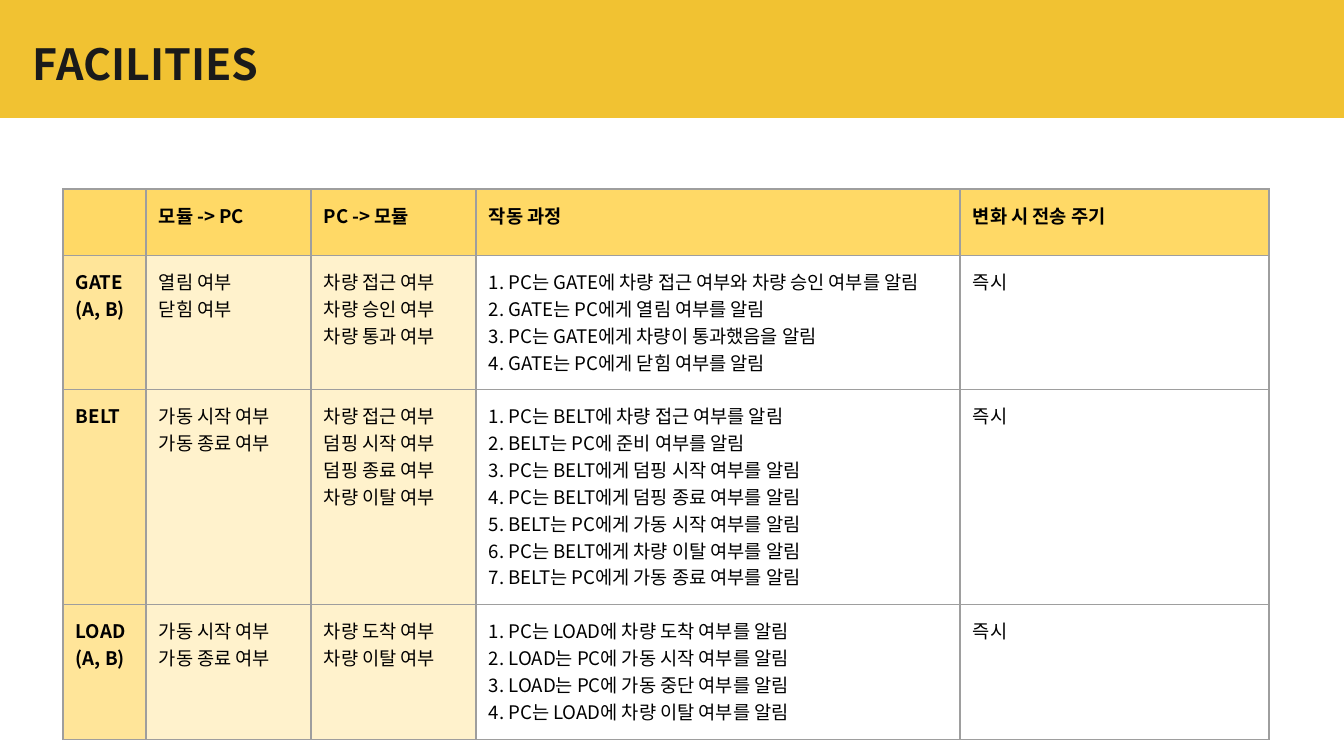
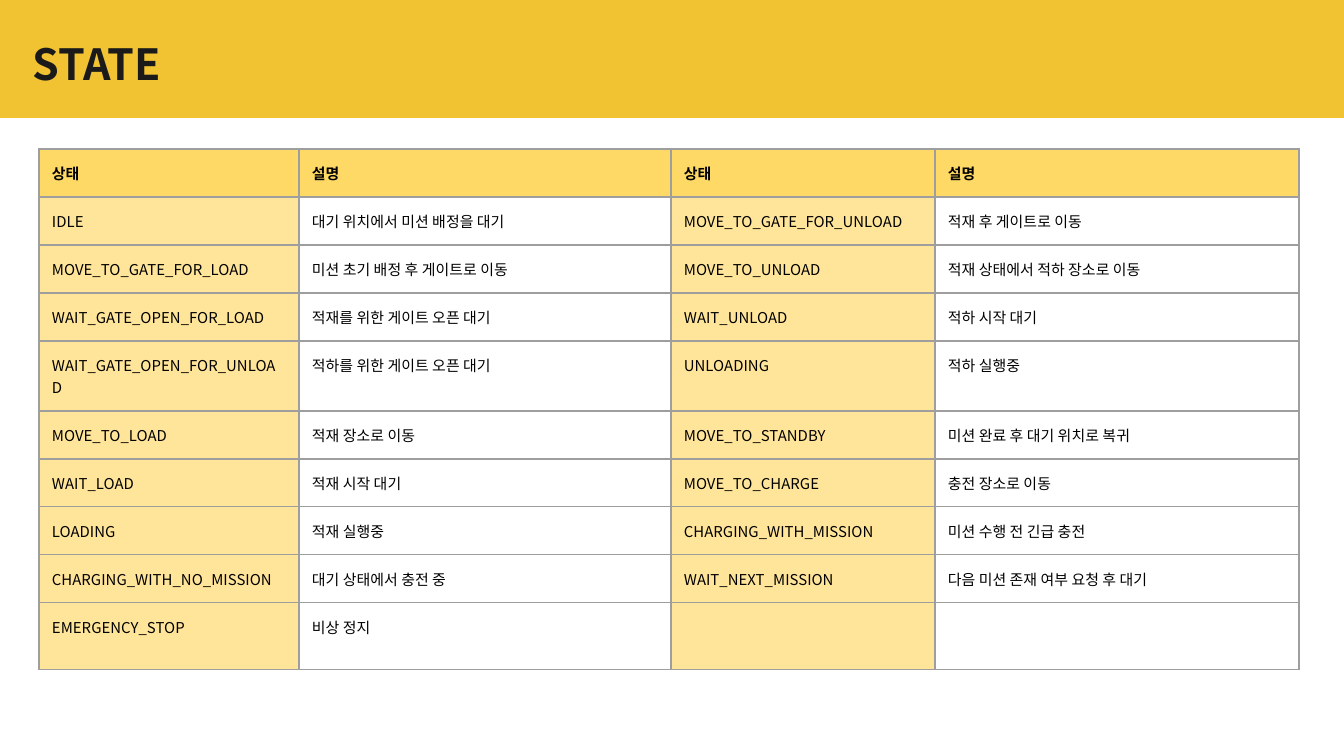
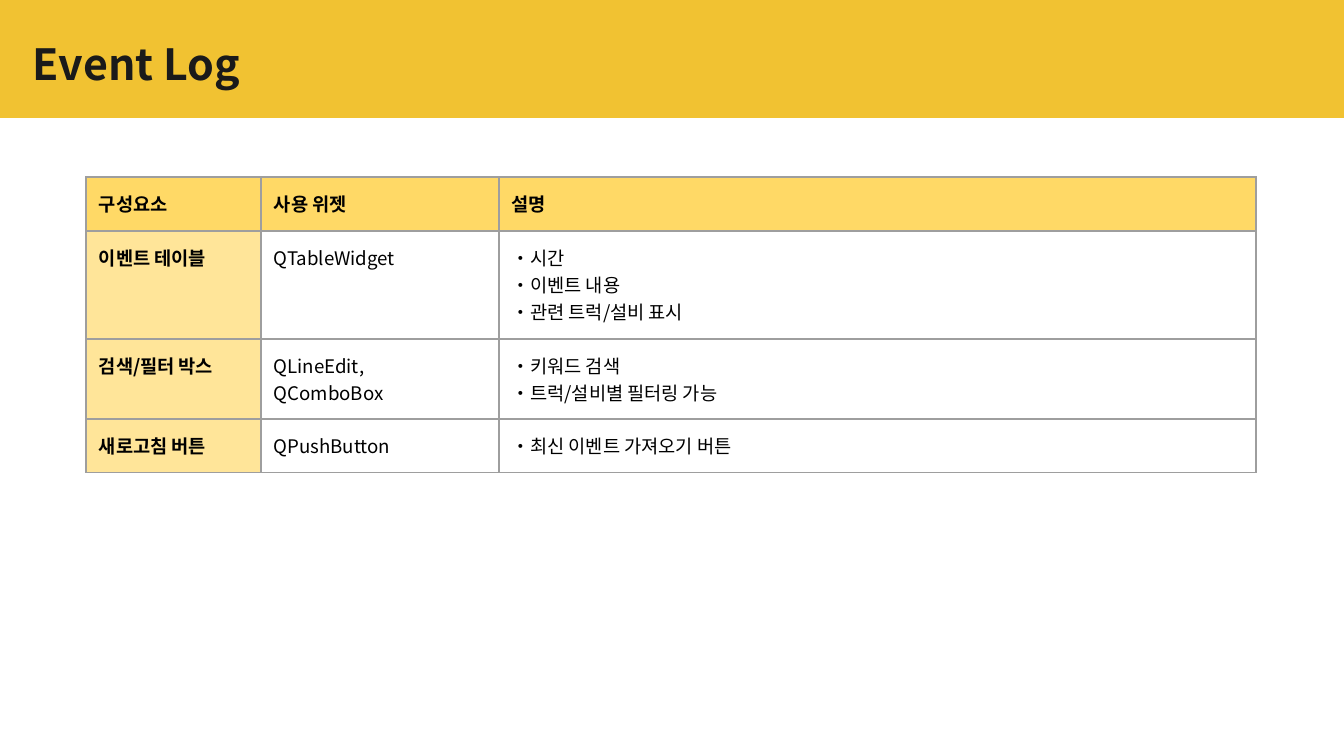
import dataclasses

import lxml.etree
import pptx
import pptx.dml.color
import pptx.enum.shapes
import pptx.enum.text
import pptx.oxml.ns
import pptx.util

EMU_PER_PX = 914400 / 134.4


def px(length):
    return pptx.util.Emu(round(length * EMU_PER_PX))


def rgb(value):
    return pptx.dml.color.RGBColor.from_string(value)


@dataclasses.dataclass(frozen=True)
class Theme:
    font: str = "Noto Sans CJK KR"
    band: str = "F1C232"
    title: str = "1A1A1A"
    text: str = "000000"
    header: str = "FFD966"
    key: str = "FFE599"
    pale: str = "FFF2CC"
    border: str = "9E9E9E"
    border_width: float = 0.75
    title_size: int = 23
    body_size: int = 10
    small_size: int = 8
    inset: int = 13


@dataclasses.dataclass(frozen=True)
class Column:
    width: int
    fill: str | None = None
    bold: bool = False


class Deck:
    def __init__(self, theme):
        self.theme = theme
        self.presentation = pptx.Presentation()
        self.presentation.slide_width = px(1344)
        self.presentation.slide_height = px(756)
        self.slide = None

    def add_slide(self, title):
        self.slide = self.presentation.slides.add_slide(self.presentation.slide_layouts[6])
        self.add_band()
        self.add_title(title)

    def add_band(self):
        shape = self.slide.shapes.add_shape(
            pptx.enum.shapes.MSO_SHAPE.RECTANGLE, px(0), px(0), px(1344), px(118))
        shape.shadow.inherit = False
        shape.fill.solid()
        shape.fill.fore_color.rgb = rgb(self.theme.band)
        shape.line.fill.background()

    def add_title(self, text):
        shape = self.slide.shapes.add_textbox(px(20), px(24), px(1130), px(79))
        frame = shape.text_frame
        frame.word_wrap = True
        frame.vertical_anchor = pptx.enum.text.MSO_ANCHOR.MIDDLE
        self.set_insets(frame)
        self.add_run(frame.paragraphs[0], text, self.theme.title_size, self.theme.title, True)

    def set_insets(self, target):
        for side in ("left", "right", "top", "bottom"):
            setattr(target, f"margin_{side}", px(self.theme.inset))

    def add_run(self, paragraph, text, size, color, bold):
        run = paragraph.add_run()
        run.text = text
        run.font.size = pptx.util.Pt(size)
        run.font.bold = bold
        run.font.color.rgb = rgb(color)
        run.font.name = self.theme.font
        east_asian = lxml.etree.SubElement(run.font._element, pptx.oxml.ns.qn("a:ea"))
        east_asian.set("typeface", self.theme.font)

    def add_table(self, left, top, columns, heights, rows, size):
        """The first row is the header; each line of a cell is a paragraph."""
        frame = self.slide.shapes.add_table(
            len(rows), len(columns), px(left), px(top),
            px(sum(column.width for column in columns)), px(sum(heights)))
        table = frame.table
        table.first_row = table.horz_banding = False
        for index, column in enumerate(columns):
            table.columns[index].width = px(column.width)
        for row_index, (height, texts) in enumerate(zip(heights, rows)):
            table.rows[row_index].height = px(height)
            for column_index, (column, text) in enumerate(zip(columns, texts)):
                header = row_index == 0
                self.fill_cell(table.cell(row_index, column_index), text, size,
                               self.theme.header if header else column.fill,
                               header or column.bold)

    def fill_cell(self, cell, text, size, fill, bold):
        self.set_insets(cell)
        self.add_borders(cell)
        if fill:
            cell.fill.solid()
            cell.fill.fore_color.rgb = rgb(fill)
        else:
            cell.fill.background()
        for index, line in enumerate(text.splitlines()):
            frame = cell.text_frame
            paragraph = frame.add_paragraph() if index else frame.paragraphs[0]
            self.add_run(paragraph, line, size, self.theme.text, bold)

    def add_borders(self, cell):
        qn = pptx.oxml.ns.qn
        properties = cell._tc.get_or_add_tcPr()
        for side in ("a:lnL", "a:lnR", "a:lnT", "a:lnB"):
            line = lxml.etree.SubElement(properties, qn(side))
            line.set("w", str(pptx.util.Pt(self.theme.border_width)))
            solid = lxml.etree.SubElement(line, qn("a:solidFill"))
            lxml.etree.SubElement(solid, qn("a:srgbClr")).set("val", self.theme.border)


FACILITIES = [
    ["", "모듈 -> PC", "PC -> 모듈", "작동 과정", "변화 시 전송 주기"],
    ["GATE\n(A, B)",
     "열림 여부\n닫힘 여부",
     "차량 접근 여부\n차량 승인 여부\n차량 통과 여부",
     "1. PC는 GATE에 차량 접근 여부와 차량 승인 여부를 알림\n"
     "2. GATE는 PC에게 열림 여부를 알림\n"
     "3. PC는 GATE에게 차량이 통과했음을 알림\n"
     "4. GATE는 PC에게 닫힘 여부를 알림",
     "즉시"],
    ["BELT",
     "가동 시작 여부\n가동 종료 여부",
     "차량 접근 여부\n덤핑 시작 여부\n덤핑 종료 여부\n차량 이탈 여부",
     "1. PC는 BELT에 차량 접근 여부를 알림\n"
     "2. BELT는 PC에 준비 여부를 알림\n"
     "3. PC는 BELT에게 덤핑 시작 여부를 알림\n"
     "4. PC는 BELT에게 덤핑 종료 여부를 알림\n"
     "5. BELT는 PC에게 가동 시작 여부를 알림\n"
     "6. PC는 BELT에게 차량 이탈 여부를 알림\n"
     "7. BELT는 PC에게 가동 종료 여부를 알림",
     "즉시"],
    ["LOAD\n(A, B)",
     "가동 시작 여부\n가동 종료 여부",
     "차량 도착 여부\n차량 이탈 여부",
     "1. PC는 LOAD에 차량 도착 여부를 알림\n"
     "2. LOAD는 PC에 가동 시작 여부를 알림\n"
     "3. LOAD는 PC에 가동 중단 여부를 알림\n"
     "4. PC는 LOAD에 차량 이탈 여부를 알림",
     "즉시"],
]

STATES = [
    ["상태", "설명", "상태", "설명"],
    ["IDLE", "대기 위치에서 미션 배정을 대기",
     "MOVE_TO_GATE_FOR_UNLOAD", "적재 후 게이트로 이동"],
    ["MOVE_TO_GATE_FOR_LOAD", "미션 초기 배정 후 게이트로 이동",
     "MOVE_TO_UNLOAD", "적재 상태에서 적하 장소로 이동"],
    ["WAIT_GATE_OPEN_FOR_LOAD", "적재를 위한 게이트 오픈 대기",
     "WAIT_UNLOAD", "적하 시작 대기"],
    ["WAIT_GATE_OPEN_FOR_UNLOAD", "적하를 위한 게이트 오픈 대기",
     "UNLOADING", "적하 실행중"],
    ["MOVE_TO_LOAD", "적재 장소로 이동",
     "MOVE_TO_STANDBY", "미션 완료 후 대기 위치로 복귀"],
    ["WAIT_LOAD", "적재 시작 대기",
     "MOVE_TO_CHARGE", "충전 장소로 이동"],
    ["LOADING", "적재 실행중",
     "CHARGING_WITH_MISSION", "미션 수행 전 긴급 충전"],
    ["CHARGING_WITH_NO_MISSION", "대기 상태에서 충전 중",
     "WAIT_NEXT_MISSION", "다음 미션 존재 여부 요청 후 대기"],
    ["EMERGENCY_STOP", "비상 정지", "", ""],
]

EVENT_LOG = [
    ["구성요소", "사용 위젯", "설명"],
    ["이벤트 테이블", "QTableWidget", "‧시간\n‧이벤트 내용\n‧관련 트럭/설비 표시"],
    ["검색/필터 박스", "QLineEdit,\nQComboBox", "‧키워드 검색\n‧트럭/설비별 필터링 가능"],
    ["새로고침 버튼", "QPushButton", "‧최신 이벤트 가져오기 버튼"],
]


def main():
    theme = Theme()
    deck = Deck(theme)

    # Messages between the PC and each facility
    deck.add_slide("FACILITIES")
    deck.add_table(
        63, 189,
        [Column(83, theme.key, True), Column(165, theme.pale), Column(165, theme.pale),
         Column(484), Column(309)],
        [64, 134, 215, 135], FACILITIES, theme.body_size)

    # Truck states, in two pairs of columns
    deck.add_slide("STATE")
    deck.add_table(
        39, 149,
        [Column(260, theme.key), Column(372), Column(264, theme.key), Column(364)],
        [48] * 4 + [70] + [48] * 4 + [64], STATES, theme.small_size)

    # Widgets of the event log
    deck.add_slide("Event Log")
    deck.add_table(
        86, 177,
        [Column(175, theme.key, True), Column(238), Column(757)],
        [54, 108, 80, 54], EVENT_LOG, theme.body_size)

    deck.presentation.save("out.pptx")


if __name__ == "__main__":
    main()
